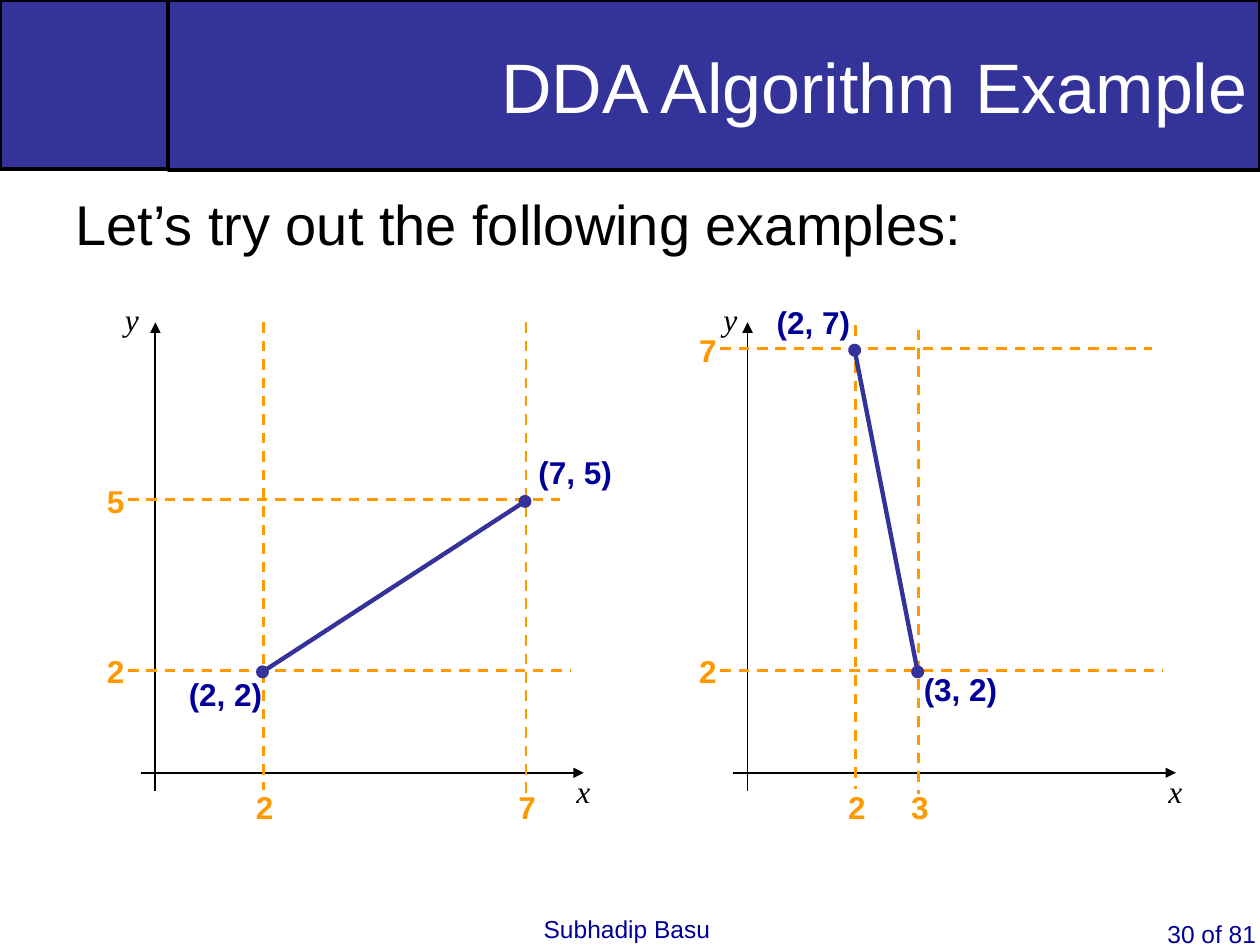
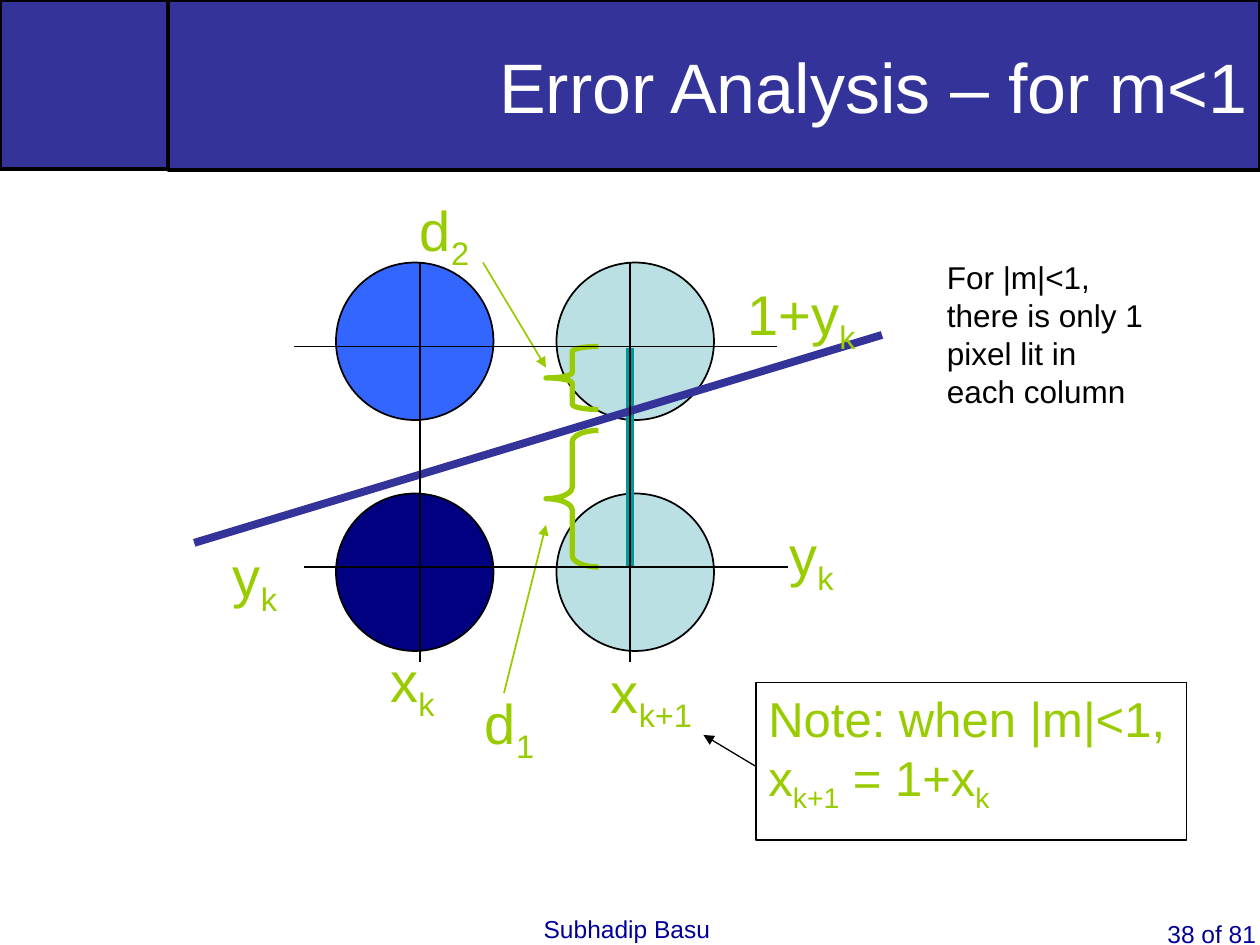
from dataclasses import dataclass
from itertools import product

from lxml.etree import SubElement
from pptx import Presentation
from pptx.dml.color import RGBColor as Rgb
from pptx.enum.dml import MSO_LINE as Dash
from pptx.enum.shapes import MSO_CONNECTOR as Link, MSO_SHAPE as Kind
from pptx.enum.text import MSO_ANCHOR as Anchor, MSO_AUTO_SIZE as Fit, PP_ALIGN as Align
from pptx.oxml.ns import qn
from pptx.util import Inches, Pt

WIDTH, HEIGHT = Inches(10), Inches(7.5)
COLS, ROWS = 120, 90
BAND, BLACK, WHITE, NAVY = "333399", "000000", "FFFFFF", "000099"
AMBER, LIME, TEAL, PALE = "FF9900", "99CC00", "009999", "BBE0E3"
AUTHOR, TOTAL = "Subhadip Basu", 81
BASE = 73.6


@dataclass(frozen=True)
class Label:
    text: str
    col: float
    row: float
    wide: float
    high: float
    size: float = 18
    color: str = BLACK
    face: str = "Arial"
    bold: bool = False
    slant: bool = False
    wrap: bool = False


@dataclass(frozen=True)
class Stroke:
    start: tuple[float, float]
    end: tuple[float, float]
    color: str = BLACK
    width: float = 0.75
    dash: bool = False
    head: str = ""
    tail: str = ""


@dataclass(frozen=True)
class Form:
    kind: Kind
    col: float
    row: float
    wide: float
    high: float
    fill: str = ""
    color: str = BLACK
    width: float = 1
    bend: float = 0


@dataclass(frozen=True)
class Tick:
    value: int
    at: float
    start: float
    end: float


@dataclass(frozen=True)
class Plot:
    left: float
    mark: float
    across: tuple[Tick, Tick]
    up: tuple[Tick, Tick]
    notes: tuple[tuple[str, float, float], ...]


def paint(code: str) -> Rgb:
    return Rgb.from_string(code)


def across(cols: float) -> int:
    return round(WIDTH * cols / COLS)


def down(rows: float) -> int:
    return round(HEIGHT * rows / ROWS)


def area(col: float, row: float, wide: float, high: float) -> tuple[int, int, int, int]:
    return across(col), down(row), across(wide), down(high)


def write(slide, item: Label):
    box = slide.shapes.add_textbox(*area(item.col, item.row, item.wide, item.high))
    frame = box.text_frame
    frame.word_wrap = item.wrap
    for i, line in enumerate(item.text.split("\n")):
        para = frame.add_paragraph() if i else frame.paragraphs[0]
        for j, part in enumerate(line.split("~")):
            run = para.add_run()
            run.text = part
            if j % 2:
                run._r.get_or_add_rPr().set("baseline", "-25000")
        font = para.font
        font.name, font.size = item.face, Pt(item.size)
        font.bold, font.italic = item.bold, item.slant
        font.color.rgb = paint(item.color)
    return frame


def trace(slide, item: Stroke) -> None:
    (x1, y1), (x2, y2) = item.start, item.end
    link = slide.shapes.add_connector(
        Link.STRAIGHT, across(x1), down(y1), across(x2), down(y2))
    link.line.color.rgb = paint(item.color)
    link.line.width = Pt(item.width)
    if item.dash:
        link.line.dash_style = Dash.DASH
    edge = link.line._get_or_add_ln()
    for tag, tip in (("a:headEnd", item.head), ("a:tailEnd", item.tail)):
        if tip:
            SubElement(edge, qn(tag)).set("type", tip)
    SubElement(link._element.spPr, qn("a:effectLst"))


def place(slide, item: Form) -> None:
    shape = slide.shapes.add_shape(
        item.kind, *area(item.col, item.row, item.wide, item.high))
    shape.shadow.inherit = False
    if item.bend:
        shape.adjustments[0] = item.bend
    dress(shape, item.fill, item.color, item.width)


def dress(shape, fill: str, color: str, width: float) -> None:
    if fill:
        shape.fill.solid()
        shape.fill.fore_color.rgb = paint(fill)
    else:
        shape.fill.background()
    shape.line.color.rgb = paint(color)
    shape.line.width = Pt(width)


def begin(deck, title: str, page: int):
    slide = deck.slides.add_slide(deck.slide_layouts[5])
    place(slide, Form(Kind.RECTANGLE, 0, 0, 16, 16.1, BAND, width=2))
    foot = write(slide, Label(f"{page} of {TOTAL}", 110, 86.9, 10, 3.1, 14, NAVY, wrap=True))
    foot.margin_right = 0
    write(slide, Label(AUTHOR, 50.6, 86.5, 18.3, 3.5, 14, NAVY))
    head = slide.shapes.title
    head.left, head.top, head.width, head.height = area(16, 0, 104, 16.2)
    dress(head, BAND, BLACK, 2)
    frame = head.text_frame
    frame.text = title
    frame.auto_size, frame.vertical_anchor = Fit.NONE, Anchor.MIDDLE
    para = frame.paragraphs[0]
    para.alignment = Align.RIGHT
    para.font.name, para.font.size = "Arial", Pt(40)
    para.font.color.rgb = paint(WHITE)
    return slide


def graph(slide, plot: Plot) -> None:
    left = plot.left
    trace(slide, Stroke((left, 75.3), (left, 30.7), width=1, tail="triangle"))
    trace(slide, Stroke((left - 1.4, BASE), (left + 40.8, BASE), width=1, tail="triangle"))
    for name, col, row in (("x", 38.9, 72.9), ("y", plot.mark, 28)):
        write(slide, Label(name, left + col, row, 3.7, 4.8,
                           face="Times New Roman", slant=True))
    for tick in plot.up:
        trace(slide, Stroke((left + tick.start, tick.at), (left + tick.end, tick.at),
                            AMBER, 1.5, True))
        write(slide, Label(str(tick.value), left - 5.8, tick.at - 2.3, 4.1, 4.8,
                           color=AMBER, bold=True))
    for tick in plot.across:
        col = left + tick.at
        trace(slide, Stroke((col, tick.start), (col, tick.end), AMBER, 1.5, True))
        write(slide, Label(str(tick.value), col - 1.9, 74.5, 4.1, 4.8,
                           color=AMBER, bold=True))
    first, last = ((left + x.at - 0.1, y.at + 0.15) for x, y in zip(plot.across, plot.up))
    trace(slide, Stroke(first, last, BAND, 2.5, head="oval", tail="oval"))
    for text, col, row in plot.notes:
        write(slide, Label(text, left + col, row, 9.4, 4.8, color=NAVY, bold=True))


def dda(deck) -> None:
    slide = begin(deck, "DDA Algorithm Example", 30)
    write(slide, Label("Let’s try out the following examples:",
                       6, 17.5, 108, 7, 32, wrap=True))
    low = Tick(2, 63.84, -2.6, 39.5)
    graph(slide, Plot(
        14.8, -4.1,
        (Tick(2, 10.3, 30.7, 75.2), Tick(7, 35.3, 30.7, 75.7)),
        (low, Tick(5, 47.6, -2.6, 38.5)),
        (("(2, 2)", 2, 63.7), ("(7, 5)", 35.3, 42.6))))
    graph(slide, Plot(
        71.2, -3.5,
        (Tick(2, 10.3, 31, 75.1), Tick(3, 16.3, 31.4, 75.6)),
        (Tick(7, 33.2, -2.6, 38.5), low),
        (("(2, 7)", 1.6, 28.3), ("(3, 2)", 15.6, 63.2))))


def error(deck) -> None:
    slide = begin(deck, "Error Analysis – for m<1", 38)
    fills = ("3366FF", PALE, "000080", PALE)
    for (row, col), fill in zip(product((25, 47), (32, 53)), fills):
        place(slide, Form(Kind.OVAL, col, row, 15, 15, fill))
    trace(slide, Stroke((60, 33.1), (60, 54.1), TEAL, 4.5))
    trace(slide, Stroke((18.5, 51.7), (84, 31.9), BAND, 4.5))
    for row, high in ((33, 6), (41, 13)):
        place(slide, Form(Kind.LEFT_BRACE, 52, row, 5, high,
                          color=LIME, width=3, bend=high / 60))
    for start, end in (((46, 25), (52, 35)), ((48, 66), (52, 50))):
        trace(slide, Stroke(start, end, LIME, 1, tail="triangle"))
    for col in (40, 60):
        trace(slide, Stroke((col, 25), (col, 63)))
    for col, row in ((28, 33), (29, 54)):
        trace(slide, Stroke((col, row), (col + 46, row)))
    for text, col, row, wide in (
            ("d~1", 45, 65, 9.5), ("d~2", 38.8, 18, 8.3), ("x~k", 36, 61, 7.3),
            ("x~k+1", 57, 62, 11), ("y~k", 21, 51, 7.3), ("y~k", 74, 49, 7.3),
            ("1+y~k", 70, 26, 18)):
        write(slide, Label(text, col, row, wide, 8.5, 32, LIME, wrap=True))
    write(slide, Label("Note: when |m|<1,\nx~k+1~ = 1+x~k",
                       72, 65, 45, 13.2, 28, LIME, wrap=True))
    place(slide, Form(Kind.RECTANGLE, 72, 65, 41, 15, width=0.75))
    trace(slide, Stroke((72, 73), (67, 70), tail="triangle"))
    write(slide, Label("For |m|<1, there is only 1 pixel lit in each column",
                       89, 24, 22, 15.6, wrap=True))


def main() -> None:
    deck = Presentation()
    deck.slide_width, deck.slide_height = WIDTH, HEIGHT
    dda(deck)
    error(deck)
    deck.save("out.pptx")


if __name__ == "__main__":
    main()
